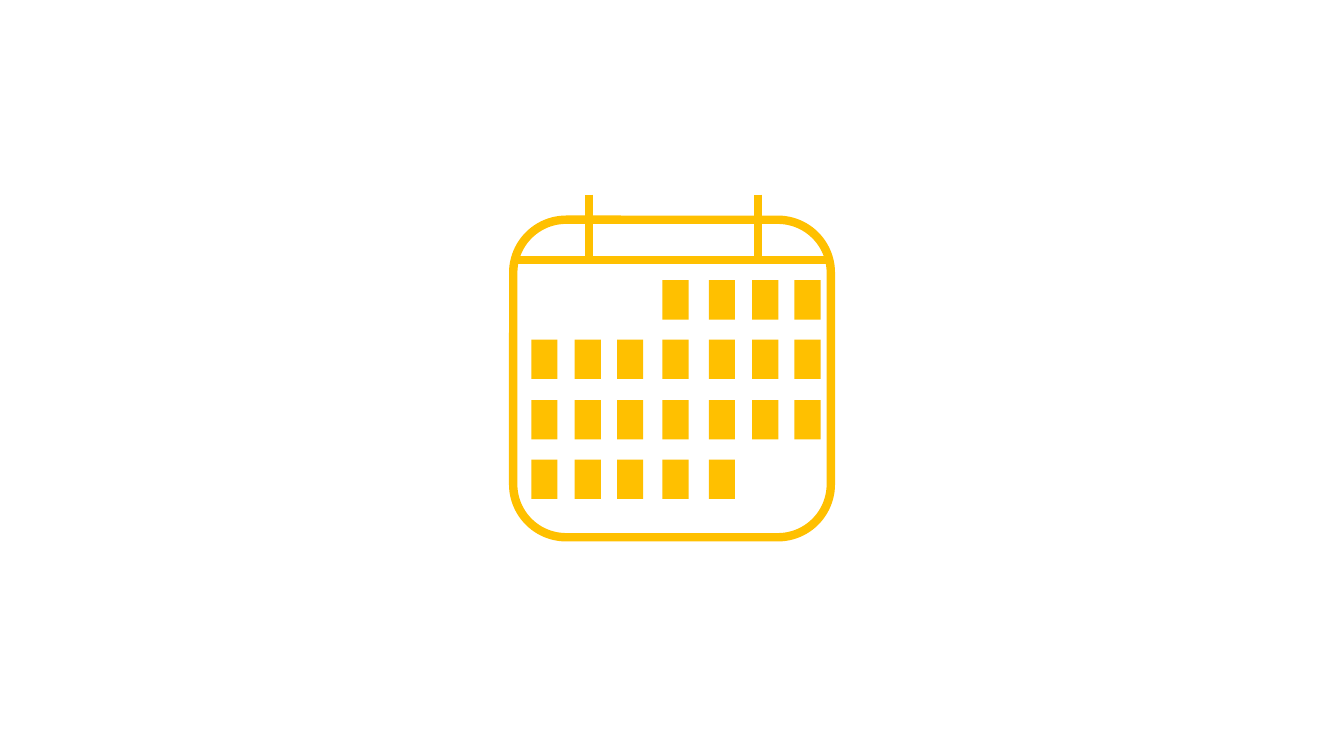
from pptx import Presentation
from pptx import util as u
from pptx.dml.color import RGBColor
from pptx.enum import shapes
from pptx.oxml.ns import qn
from lxml import etree

GOLD = "FFC000"
LEFT, TOP, SIZE = 5.09, 2.18, 3.15
HEADER_Y, RING_TOP = 2.58, 1.93
RING_XS = (7.52, 5.84)
DAY_XS = (5.27, 5.7, 6.12, 6.57, 7.03, 7.46, 7.88)
DAY_YS = (2.78, 3.37, 3.97, 4.56)
DAY_W, DAY_H = 0.26, 0.39
WEEKS = ((3, 7), (0, 7), (0, 7), (0, 5))


def color(hex_value):
    return RGBColor.from_string(hex_value)


def set_line(line):
    line.color.rgb = color(GOLD)
    line.width = u.Pt(6)


def add_box(slide, kind, *box):
    s = slide.shapes.add_shape(kind, *map(u.Inches, box))
    s.shadow.inherit = False
    return s


def add_frame(slide):
    s = add_box(slide, shapes.MSO_SHAPE.ROUNDED_RECTANGLE, LEFT, TOP, SIZE, SIZE)
    s.fill.background()
    set_line(s.line)


def add_line(slide, *ends):
    s = slide.shapes.add_connector(
        shapes.MSO_CONNECTOR.STRAIGHT, *map(u.Inches, ends))
    set_line(s.line)
    etree.SubElement(s._element.spPr, qn("a:effectLst"))


def add_day(slide, x, y):
    s = add_box(slide, shapes.MSO_SHAPE.RECTANGLE, x, y, DAY_W, DAY_H)
    s.fill.solid()
    s.fill.fore_color.rgb = color(GOLD)
    s.line.fill.background()


def main():
    prs = Presentation()
    prs.slide_width, prs.slide_height = u.Inches(13.33), u.Inches(7.5)
    slide = prs.slides.add_slide(prs.slide_layouts[6])

    add_frame(slide)
    add_line(slide, LEFT, HEADER_Y, LEFT + SIZE, HEADER_Y)
    for x in RING_XS:
        add_line(slide, x, RING_TOP, x, HEADER_Y)
    for y, (first, end) in zip(DAY_YS, WEEKS):
        for x in DAY_XS[first:end]:
            add_day(slide, x, y)

    prs.save("out.pptx")


main()
